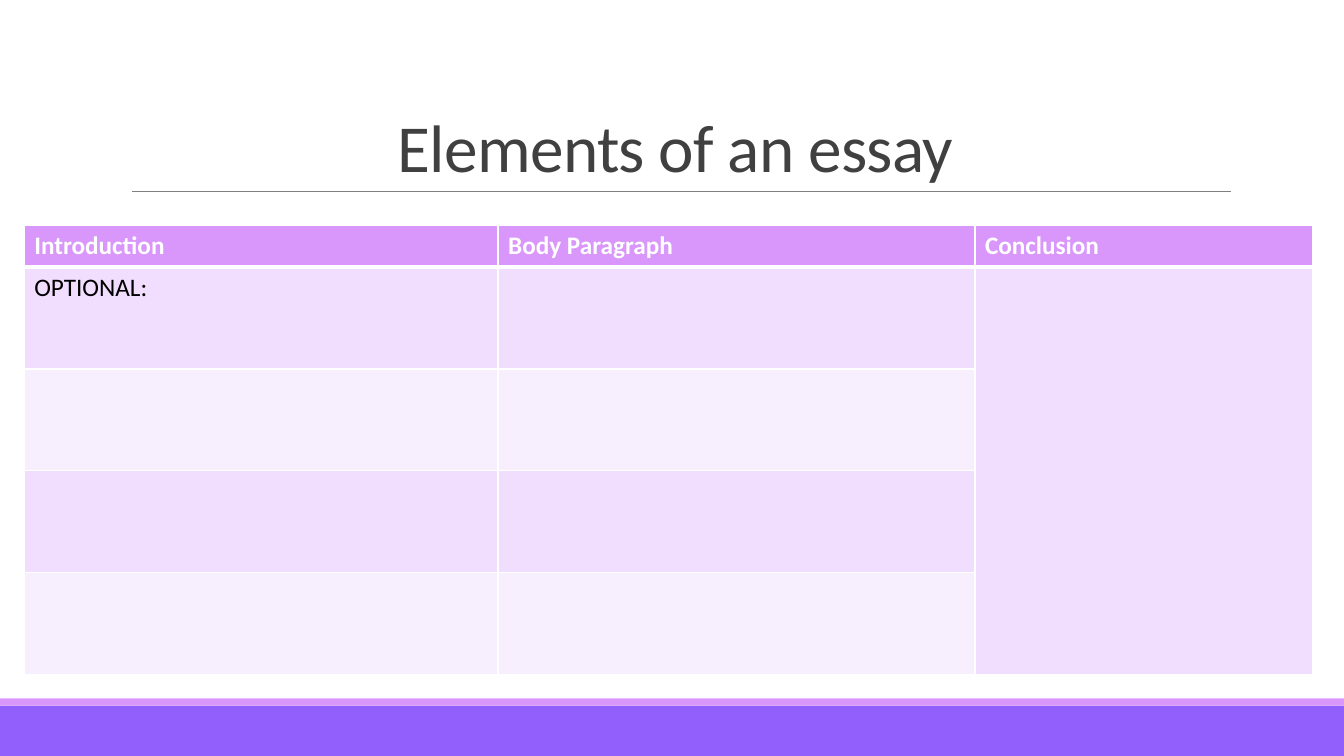
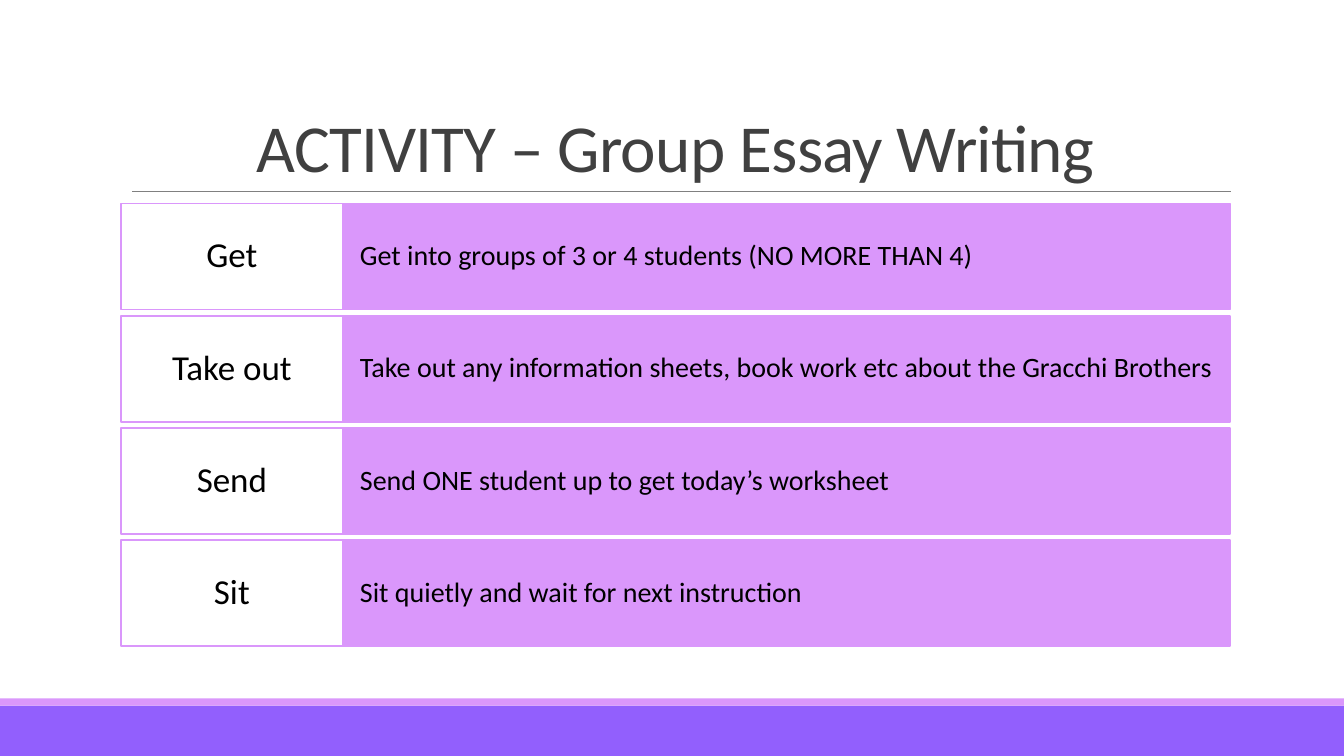
from lxml.etree import SubElement
from pptx import Presentation
from pptx.dml.color import RGBColor
from pptx.enum.shapes import MSO_CONNECTOR, MSO_SHAPE
from pptx.enum.text import MSO_ANCHOR, MSO_AUTO_SIZE, PP_ALIGN
from pptx.oxml import parse_xml
from pptx.oxml.ns import nsdecls, qn
from pptx.util import Inches, Pt

FONT = "Calibri"
HEX = {
    "white": "FFFFFF", "black": "000000", "title": "404040", "rule": "808080",
    "purple": "925FFD", "lilac": "DA97FB", "pale": "F1DDFD", "faint": "F8EFFE",
}
WIDE, HIGH = 13.33, 7.5
TITLE_BOX = (1.2, 0.31, 11, 1.59)

HEADS = ["Introduction", "Body Paragraph", "Conclusion"]
COLS = [4.7, 4.73, 3.35]
HEAD_H, ROW_H, ROWS = 0.41, 1.01, 4

STEPS = [
    ("Get", "Get into groups of 3 or 4 students (NO MORE THAN 4)"),
    ("Take out", "Take out any information sheets, book work etc about the Gracchi Brothers"),
    ("Send", "Send ONE student up to get today’s worksheet"),
    ("Sit", "Sit quietly and wait for next instruction"),
]
STEP_TOP, STEP_END, STEP_H = 2.02, 6.41, 1.05


def color(name):
    return RGBColor.from_string(HEX[name])


def place(shape, box):
    shape.left, shape.top, shape.width, shape.height = map(Inches, box)


def put(frame, text, size=18, ink="black", bold=False, align=PP_ALIGN.LEFT,
        line=None, track=None):
    """Write one formatted paragraph into a text frame."""
    para = frame.paragraphs[0]
    para.alignment = align
    if line:
        para.line_spacing = line
    run = para.add_run()
    run.text = text
    font = run.font
    font.name, font.size, font.bold = FONT, Pt(size), bold
    font.color.rgb = color(ink)
    if track:
        run._r.get_or_add_rPr().set("spc", str(round(track * 100)))


def rect(slide, box, fill, edge=None):
    shape = slide.shapes.add_shape(MSO_SHAPE.RECTANGLE, *map(Inches, box))
    shape.shadow.inherit = False
    shape.fill.solid()
    shape.fill.fore_color.rgb = color(fill)
    if edge:
        shape.line.color.rgb = color(edge)
        shape.line.width = Pt(1.25)
    else:
        shape.line.fill.background()
    return shape


def rule(slide, left, right, top):
    line = slide.shapes.add_connector(
        MSO_CONNECTOR.STRAIGHT, *map(Inches, (left, top, right, top)))
    line.line.color.rgb = color("rule")
    line.line.width = Pt(0.5)
    SubElement(line.element.spPr, qn("a:effectLst"))
    return line


def share(slide, layout):
    """Draw the bands and title rule once and move them to the layout."""
    parts = [
        rect(slide, (0, 7, WIDE, 0.5), "purple"),
        rect(slide, (0, 6.93, WIDE, 0.07), "lilac"),
        rule(slide, 1.31, 12.21, 1.9),
    ]
    tree = layout.shapes.element
    for num, part in enumerate(parts, 100):
        part.element.xpath(".//p:cNvPr")[0].set("id", str(num))
        tree.append(part.element)


def head(slide, text):
    title = slide.shapes.title
    place(title, TITLE_BOX)
    frame = title.text_frame
    frame.word_wrap = True
    frame.auto_size = MSO_AUTO_SIZE.NONE
    frame.vertical_anchor = MSO_ANCHOR.BOTTOM
    put(frame, text, size=48, ink="title", align=PP_ALIGN.CENTER,
        line=0.85, track=-0.5)


def border(cell, base):
    """Give a cell white edges; base is the width of the lower one."""
    props = cell._tc.get_or_add_tcPr()
    for spot, (side, wide) in enumerate(zip("LRTB", (1, 1, 1, base))):
        props.insert(spot, parse_xml(
            f'<a:ln{side} {nsdecls("a")} w="{Pt(wide)}"><a:solidFill>'
            f'<a:srgbClr val="{HEX["white"]}"/></a:solidFill></a:ln{side}>'))


def grid(slide):
    box = (0.24, 2.24, sum(COLS), HEAD_H + ROWS * ROW_H)
    table = slide.shapes.add_table(ROWS + 1, len(COLS), *map(Inches, box)).table
    table.horz_banding = False
    for col, wide in zip(table.columns, COLS):
        col.width = Inches(wide)
    for num, row in enumerate(table.rows):
        row.height = Inches(ROW_H if num else HEAD_H)
        fill = ("pale" if num % 2 else "faint") if num else "lilac"
        for cell in row.cells:
            cell.fill.solid()
            cell.fill.fore_color.rgb = color(fill)
            border(cell, 1 if num else 3)
    for col, text in enumerate(HEADS):
        put(table.cell(0, col).text_frame, text, ink="white", bold=True)
    put(table.cell(1, 0).text_frame, "OPTIONAL:")
    table.cell(1, 2).merge(table.cell(ROWS, 2))


def label(slide, box, fill, text, pad, **style):
    frame = rect(slide, box, fill, edge="lilac").text_frame
    frame.word_wrap = True
    frame.vertical_anchor = MSO_ANCHOR.MIDDLE
    frame.margin_left, frame.margin_right = map(Inches, pad)
    put(frame, text, line=0.9, **style)


def step(slide, top, verb, task):
    label(slide, (3.4, top, 8.8, STEP_H), "lilac", task, (0.17, 0.1), size=20)
    label(slide, (1.2, top, 2.2, STEP_H), "white", verb, (0.12, 0.12),
          size=25, align=PP_ALIGN.CENTER)


def main():
    deck = Presentation()
    deck.slide_width, deck.slide_height = Inches(WIDE), Inches(HIGH)
    layout = deck.slide_layouts.get_by_name("Title Only")

    # Essay table
    essay = deck.slides.add_slide(layout)
    share(essay, layout)
    head(essay, "Elements of an essay")
    grid(essay)

    # Group activity steps
    group = deck.slides.add_slide(layout)
    head(group, "ACTIVITY – Group Essay Writing")
    pitch = (STEP_END - STEP_H - STEP_TOP) / (len(STEPS) - 1)
    for num, (verb, task) in enumerate(STEPS):
        step(group, STEP_TOP + num * pitch, verb, task)

    deck.save("out.pptx")


if __name__ == "__main__":
    main()
